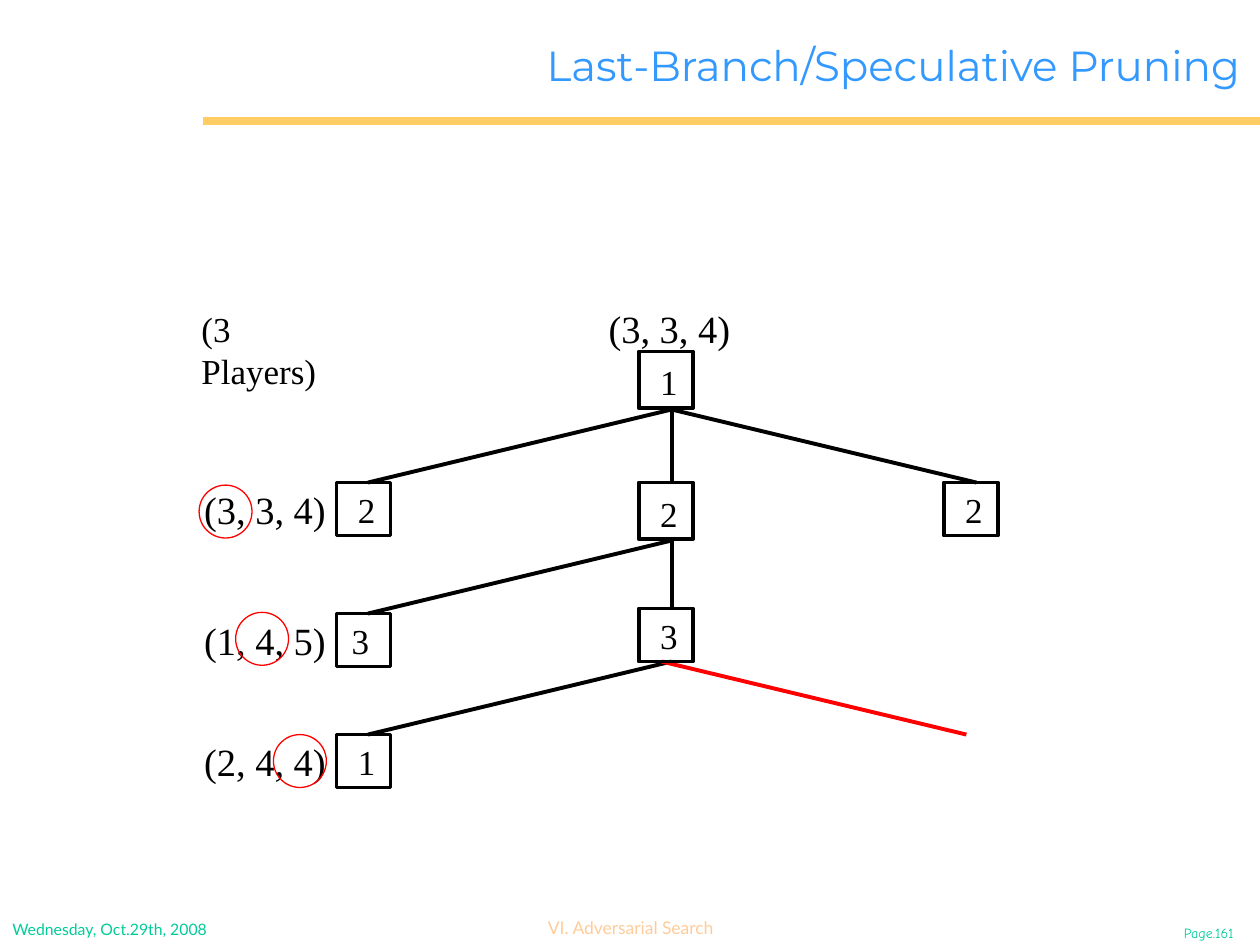
from dataclasses import dataclass

from lxml.etree import SubElement
from pptx import Presentation
from pptx.dml.color import RGBColor as RGB
from pptx.enum.shapes import MSO_CONNECTOR as LINK, MSO_SHAPE as SHAPE
from pptx.enum.text import MSO_ANCHOR as ANCHOR, MSO_AUTO_SIZE as AUTO, PP_ALIGN as ALIGN
from pptx.oxml.ns import qn
from pptx.util import Inches, Pt


@dataclass(frozen=True)
class Theme:
    """Colours, fonts and sizes of the slide."""
    ink: str = "000000"
    red: str = "FF0000"
    blue: str = "3399FF"
    gold: str = "FFCC66"
    peach: str = "FFCC99"
    green: str = "00CC99"
    head: str = "Montserrat"
    body: str = "Times New Roman"
    foot: str = "Lato"
    comic: str = "Comic Neue"
    title: int = 24
    score: int = 22
    label: int = 20


T = Theme()
NODE_W = 0.43
RING = 0.42


def style(para, size, face, color, align=ALIGN.LEFT):
    """Set the font and alignment of a paragraph."""
    para.alignment = align
    font = para.font
    font.size, font.name = Pt(size), face
    font.color.rgb = RGB.from_string(color)


def add_title(slide, text):
    """Place and format the title."""
    title = slide.shapes.title
    title.left, title.top = Inches(1.87), Inches(0.13)
    title.width, title.height = Inches(8.07), Inches(0.76)
    frame = title.text_frame
    frame.text = text
    frame.vertical_anchor = ANCHOR.MIDDLE
    frame.auto_size = AUTO.NONE
    style(frame.paragraphs[0], T.title, T.head, T.blue, ALIGN.RIGHT)


def add_text(slide, text, box, size, face=T.body, color=T.ink,
             align=ALIGN.LEFT, inset=True, wrap=False):
    """Add a one-line text box."""
    frame = slide.shapes.add_textbox(*map(Inches, box)).text_frame
    frame.text = text
    frame.word_wrap = wrap
    frame.auto_size = AUTO.SHAPE_TO_FIT_TEXT
    if not inset:
        frame.margin_left = frame.margin_right = 0
        frame.margin_top = frame.margin_bottom = 0
    style(frame.paragraphs[0], size, face, color, align)


def add_line(slide, start, end, color=T.ink, width=2.25):
    """Add a straight line between two points."""
    line = slide.shapes.add_connector(LINK.STRAIGHT, *map(Inches, start + end))
    line.line.color.rgb = RGB.from_string(color)
    line.line.width = Pt(width)
    SubElement(line._element.spPr, qn("a:effectLst"))


def add_frame(slide, kind, box, color, width):
    """Add an unfilled outline shape."""
    shape = slide.shapes.add_shape(kind, *map(Inches, box))
    shape.shadow.inherit = False
    shape.fill.background()
    shape.line.color.rgb = RGB.from_string(color)
    shape.line.width = Pt(width)


def add_node(slide, player, x, y, height=0.42, dx=0.17, dy=0.05):
    """Add a tree node with its player number."""
    add_frame(slide, SHAPE.RECTANGLE, (x, y, NODE_W, height), T.ink, 2.13)
    add_text(slide, player, (x + dx, y + dy, 0.14, 0.33), T.label, inset=False)


def add_score(slide, text, x, y):
    """Add the score triple of a node."""
    add_text(slide, text, (x, y, 0.97, 0.37), T.score, inset=False)


def add_tree(slide):
    """Draw the three-player game tree."""
    left, mid, right = 2.67, 5.07, 7.49
    root, second, third = (5.33, 3.25), (5.33, 4.29), (5.33, 5.25)
    edges = [
        (root, (2.92, 3.83)), (root, (5.33, 3.83)), (root, (7.75, 3.83)),
        (second, (2.92, 4.87)), (second, (5.33, 4.83)),
        (third, (2.92, 5.83)),
    ]
    for start, end in edges:
        add_line(slide, start, end)
    add_line(slide, (5.25, 5.25), (7.67, 5.83), T.red)

    add_node(slide, "1", mid, 2.79, 0.45, dy=0.07)
    add_node(slide, "2", mid, 3.83, 0.45, dy=0.08)
    add_node(slide, "3", mid, 4.83)
    add_node(slide, "2", right, 3.83)
    add_node(slide, "2", left, 3.83)
    add_node(slide, "3", left, 4.87, dx=0.12)
    add_node(slide, "1", left, 5.83)

    add_score(slide, "(3, 3, 4)", 4.83, 2.42)
    leaves = [("(3, 3, 4)", 3.86, 1.58, 3.85),
              ("(1, 4, 5)", 4.9, 1.87, 4.86),
              ("(2, 4, 4)", 5.86, 2.17, 5.83)]
    for text, y, ring_x, ring_y in leaves:
        add_score(slide, text, 1.62, y)
        add_frame(slide, SHAPE.OVAL, (ring_x, ring_y, RING, RING), T.red, 0.75)


def add_footer(slide):
    """Add the date, topic and page number."""
    add_text(slide, "Page.161", (9.23, 7.29, 0.73, 0.24), 8, T.comic,
             T.green, ALIGN.CENTER, wrap=True)
    add_text(slide, "VI. Adversarial Search", (4.2, 7.23, 1.61, 0.27), 10,
             T.foot, T.peach, ALIGN.CENTER)
    add_text(slide, "Wednesday, Oct.29th, 2008", (0, 7.25, 2.4, 0.25), 9,
             T.foot, T.green, wrap=True)


def main():
    """Build and save the slide."""
    deck = Presentation()
    deck.slide_width, deck.slide_height = Inches(10), Inches(7.5)
    slide = deck.slides.add_slide(deck.slide_layouts[5])
    add_line(slide, (1.61, 0.96), (10, 0.96), T.gold, 4.5)
    add_footer(slide)
    add_title(slide, "Last-Branch/Speculative Pruning")
    add_text(slide, "(3 Players)", (1.5, 2.39, 1.41, 0.44), T.label)
    add_tree(slide)
    deck.save("out.pptx")


if __name__ == "__main__":
    main()
